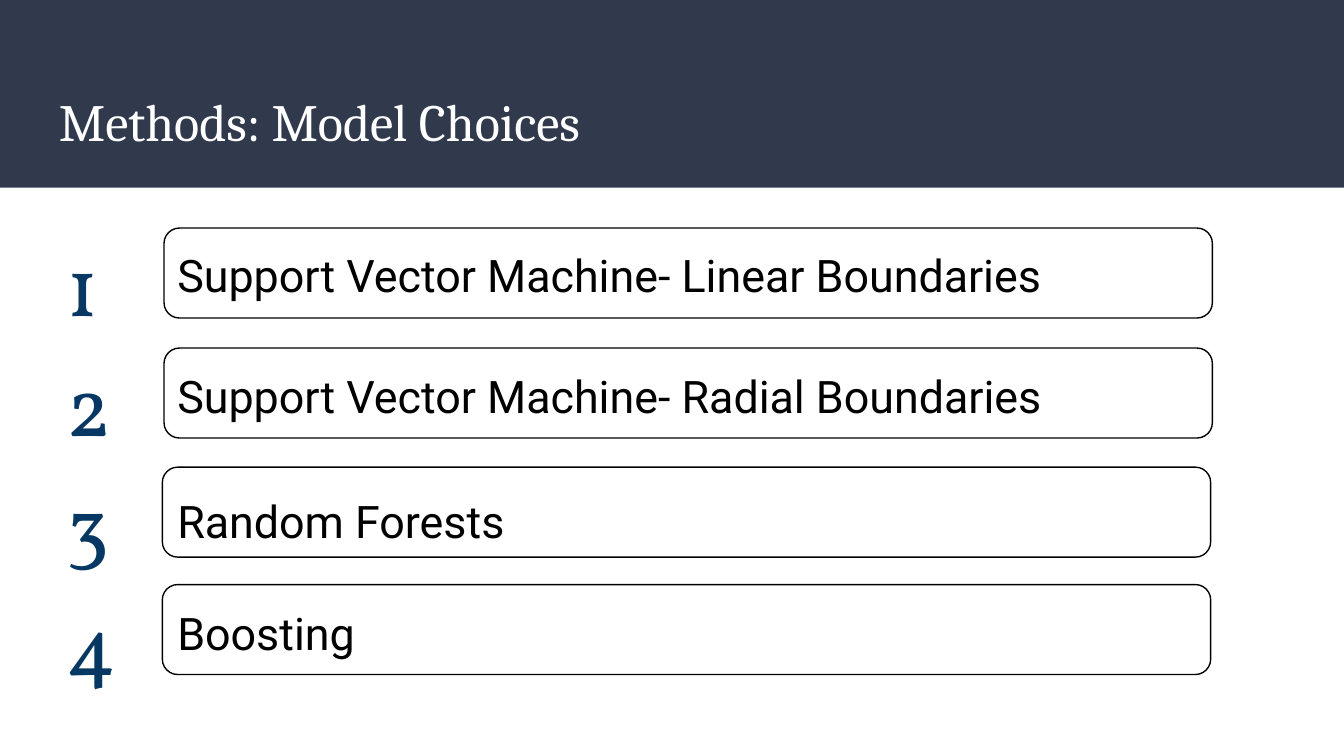
from dataclasses import dataclass

from pptx import Presentation as Deck
from pptx.dml.color import RGBColor as Color
from pptx.enum.shapes import MSO_SHAPE as Kind
from pptx.enum.text import MSO_ANCHOR as Anchor
from pptx.util import Pt


@dataclass(frozen=True)
class Style:
    font: str
    size: float
    color: str


@dataclass(frozen=True)
class Theme:
    band: str = "31394D"
    edge: str = "000000"
    title: Style = Style("Cambria", 28, "FFFFFF")
    body: Style = Style("Roboto", 24, "000000")
    digit: Style = Style("Vollkorn", 45, "073763")


THEME = Theme()
PAD = 7.2
STEP = 64.1
ROWS = [
    ("Support Vector Machine- Linear Boundaries", 121, 122.2, 87.9),
    ("Support Vector Machine- Radial Boundaries", 185.8, 186.5, 87.9),
    ("Random Forests", 252.7, 250.3, 87),
    ("Boosting", 313.2, 313.2, 87),
]


def add_band(slide):
    band = slide.shapes.add_shape(Kind.RECTANGLE, 0, 0, Pt(720), Pt(100.6))
    band.shadow.inherit = False
    band.fill.solid()
    band.fill.fore_color.rgb = Color.from_string(THEME.band)
    band.line.fill.background()


def add_text(slide, text, box, style, anchor=Anchor.TOP, lead=1, after=0):
    frame = slide.shapes.add_textbox(*map(Pt, box)).text_frame
    frame.word_wrap = True
    frame.vertical_anchor = anchor
    frame.margin_left = frame.margin_right = Pt(PAD)
    frame.margin_top = frame.margin_bottom = Pt(PAD)
    para = frame.paragraphs[0]
    para.line_spacing = lead
    para.space_after = Pt(after)
    run = para.add_run()
    run.text = text
    run.font.name = style.font
    run.font.size = Pt(style.size)
    run.font.color.rgb = Color.from_string(style.color)


def add_frame(slide, left, top):
    frame = slide.shapes.add_shape(
        Kind.ROUNDED_RECTANGLE, Pt(left), Pt(top), Pt(561.6), Pt(48.2))
    frame.adjustments[0] = 0.17
    frame.shadow.inherit = False
    frame.fill.background()
    frame.line.color.rgb = Color.from_string(THEME.edge)
    frame.line.width = Pt(0.75)


def add_row(slide, index, row):
    text, top, edge, left = row
    add_text(slide, text, (87.9, top, 556, 49), THEME.body,
             lead=1.15, after=12)
    add_text(slide, str(index + 1), (28.8, 109.4 + index * STEP, 67.7, 61.2),
             THEME.digit, lead=1.15, after=12)
    add_frame(slide, left, edge)


def main():
    deck = Deck()
    deck.slide_width, deck.slide_height = Pt(720), Pt(405)
    slide = deck.slides.add_slide(deck.slide_layouts[6])
    add_band(slide)
    add_text(slide, "Methods: Model Choices", (24.5, 39.6, 671, 49),
             THEME.title, Anchor.BOTTOM)
    for index, row in enumerate(ROWS):
        add_row(slide, index, row)
    deck.save("out.pptx")


if __name__ == "__main__":
    main()
